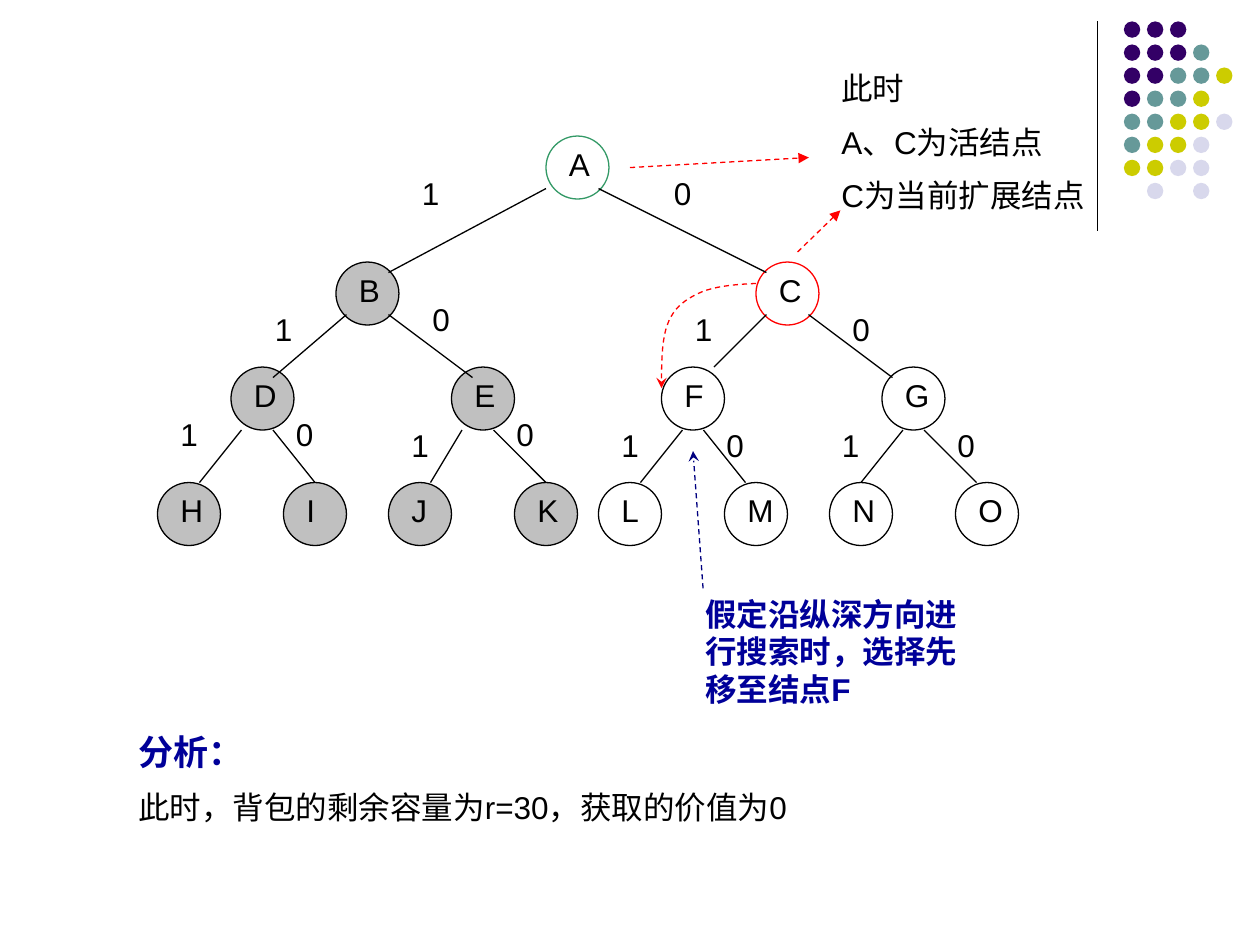
from pptx import Presentation
from pptx.util import Inches, Pt
from pptx.dml.color import RGBColor
from pptx.enum.dml import MSO_LINE
from pptx.enum.shapes import MSO_CONNECTOR, MSO_SHAPE
from pptx.oxml.ns import qn
from lxml.etree import SubElement

BLACK = RGBColor(0, 0, 0)
GRAY = RGBColor(0xC0, 0xC0, 0xC0)
GREEN = RGBColor(0x33, 0x99, 0x66)
RED = RGBColor(0xFF, 0, 0)
BLUE = RGBColor(0, 0, 0x99)
NAVY = RGBColor(0, 0, 0x80)
DOTS = {"P": RGBColor(0x33, 0, 0x66), "T": RGBColor(0x66, 0x99, 0x99),
        "Y": RGBColor(0xCC, 0xCC, 0), "L": RGBColor(0xD8, 0xD8, 0xEC)}
ROWS = ["PPP", "PPPT", "PPTTY", "PTTY", "TTYYL", "TYYL", "YYLL", " L L"]

# The tree lies on a grid of twelfths of an inch
UNIT = Inches(1) / 12
SIZE = 6
NODES = {"A": (37, 0), "B": (17, 12), "C": (57, 12),
         "D": (7, 22), "E": (28, 22), "F": (48, 22), "G": (69, 22),
         "H": (0, 33), "I": (12, 33), "J": (22, 33), "K": (34, 33),
         "L": (42, 33), "M": (54, 33), "N": (64, 33), "O": (76, 33)}
PRUNED = "BDEHIJK"
RINGS = {"A": GREEN, "C": RED}
# parent + child, bit, start within parent, end within child, label place
EDGES = [("AB", "1", (0, 5), (5, 1), (24, 3)),
         ("AC", "0", (5, 5), (1, 1), (48, 3)),
         ("BD", "1", (1, 5), (4, 1), (10, 16)),
         ("BE", "0", (5, 5), (2, 1), (25, 15)),
         ("CF", "1", (1, 5), (5, 0), (50, 16)),
         ("CG", "0", (5, 5), (1, 1), (65, 16)),
         ("DH", "1", (1, 6), (4, 0), (1, 26)),
         ("DI", "0", (4, 6), (3, 0), (12, 26)),
         ("EJ", "1", (1, 6), (4, 0), (23, 27)),
         ("EK", "0", (4, 6), (3, 0), (33, 26)),
         ("FL", "1", (2, 6), (4, 0), (43, 27)),
         ("FM", "0", (4, 6), (2, 0), (53, 27)),
         ("GN", "1", (2, 6), (3, 0), (64, 27)),
         ("GO", "0", (4, 6), (2, 0), (75, 27))]


def add_text(slide, x, y, w, h, *lines):
    """Each line is (text, size, color, bold)."""
    frame = slide.shapes.add_textbox(int(x), int(y), int(w), int(h)).text_frame
    frame.word_wrap = True
    for i, (text, size, color, bold) in enumerate(lines):
        para = frame.add_paragraph() if i else frame.paragraphs[0]
        para.text = text
        if i:
            para.space_before = Pt(9)
        font = para.font
        font.name, font.size, font.bold = "Arial", Pt(size), bold
        font.color.rgb = color


def add_dot(slide, x, y, size, fill=None, line=None):
    dot = slide.shapes.add_shape(MSO_SHAPE.OVAL, int(x), int(y), int(size), int(size))
    dot.shadow.inherit = False
    if fill is None:
        dot.fill.background()
    else:
        dot.fill.solid()
        dot.fill.fore_color.rgb = fill
    if line is None:
        dot.line.fill.background()
    else:
        dot.line.color.rgb = line
        dot.line.width = Pt(0.75)


def style(line, color, head=None):
    line.color.rgb = color
    line.width = Pt(0.75)
    if head:
        line.dash_style = MSO_LINE.DASH
        SubElement(line._get_or_add_ln(), qn("a:tailEnd"), type=head)


def add_line(slide, x1, y1, x2, y2, color=BLACK, head=None):
    link = slide.shapes.add_connector(
        MSO_CONNECTOR.STRAIGHT, int(x1), int(y1), int(x2), int(y2))
    style(link.line, color, head)
    SubElement(link._element.spPr, qn("a:effectLst"))


def add_decor(slide, x, y):
    """Rule and dot pattern in the corner."""
    add_line(slide, x, y, x, y + Inches(1.66))
    step = Inches(0.183)
    for row, marks in enumerate(ROWS):
        for col, mark in enumerate(marks):
            if mark in DOTS:
                add_dot(slide, x + Inches(0.21) + col * step, y + row * step,
                        Inches(0.13), DOTS[mark])


def add_tree(slide, x, y):
    def place(spot, part=(0, 0)):
        return x + (spot[0] + part[0]) * UNIT, y + (spot[1] + part[1]) * UNIT

    def add_label(left, top, text):
        add_text(slide, left, top, 5 * UNIT, Inches(0.4), (text, 18, BLACK, False))

    # Nodes
    for name, spot in NODES.items():
        left, top = place(spot)
        add_dot(slide, left, top, SIZE * UNIT, GRAY if name in PRUNED else None,
                RINGS.get(name, BLACK))
        add_label(left + UNIT, top + Inches(0.02), name)
    # Edges with their bits
    for (above, below), bit, start, end, spot in EDGES:
        add_line(slide, *place(NODES[above], start), *place(NODES[below], end))
        add_label(*place(spot), bit)


def add_curve(slide, x, y, w, h):
    """Dashed bend from the top right to the bottom left of the box."""
    bends = [((1, 0), (0.76, 0.01), (0.53, 0.03), (0.38, 0.1)),
             ((0.38, 0.1), (0.22, 0.17), (0.12, 0.25), (0.06, 0.4)),
             ((0.06, 0.4), (0, 0.55), (0, 0.78), (0, 1))]
    points = []
    for bend in bends:
        for i in range(1, 11):
            t = i / 10
            parts = ((1 - t) ** 3, 3 * t * (1 - t) ** 2, 3 * t * t * (1 - t), t ** 3)
            fx, fy = (sum(k * p[axis] for k, p in zip(parts, bend)) for axis in (0, 1))
            points.append((int(x + fx * w), int(y + fy * h)))
    path = slide.shapes.build_freeform(int(x + w), int(y))
    path.add_line_segments(points, close=False)
    curve = path.convert_to_shape()
    curve.shadow.inherit = False
    curve.fill.background()
    style(curve.line, RED, "stealth")


def add_state(slide, x, y):
    """Live nodes, with arrows from A and C."""
    add_text(slide, x, y, Inches(2.42), Inches(1.3),
             *((text, 18, BLACK, False)
               for text in ("此时", "A、C为活结点", "C为当前扩展结点")))
    add_line(slide, x - Inches(1.58), y + Inches(0.83),
             x - Inches(0.16), y + Inches(0.75), RED, "triangle")
    add_line(slide, x - Inches(0.25), y + Inches(1.5),
             x + Inches(0.09), y + Inches(1.17), RED, "triangle")


def add_move(slide, x, y):
    """Next step to node F."""
    add_text(slide, x, y, Inches(2.33), Inches(1),
             ("假定沿纵深方向进行搜索时，选择先移至结点F", 18, BLUE, True))
    add_curve(slide, x - Inches(0.25), y - Inches(2.42), Inches(0.75), Inches(0.83))
    add_line(slide, x + Inches(0.08), y, x, y - Inches(1.09), NAVY, "stealth")


def add_study(slide, x, y):
    add_text(slide, x, y, Inches(6.5), Inches(0.89),
             ("分析：", 20, BLUE, True),
             ("此时，背包的剩余容量为r=30，获取的价值为0", 18, BLACK, False))


def main():
    deck = Presentation()
    deck.slide_width, deck.slide_height = Inches(10), Inches(7.5)
    slide = deck.slides.add_slide(deck.slide_layouts[6])
    add_decor(slide, Inches(8.71), Inches(0.17))
    add_tree(slide, Inches(1.25), Inches(1.08))
    add_state(slide, Inches(6.58), Inches(0.5))
    add_study(slide, Inches(1), Inches(5.75))
    add_move(slide, Inches(5.5), Inches(4.67))
    deck.save("out.pptx")


if __name__ == "__main__":
    main()
